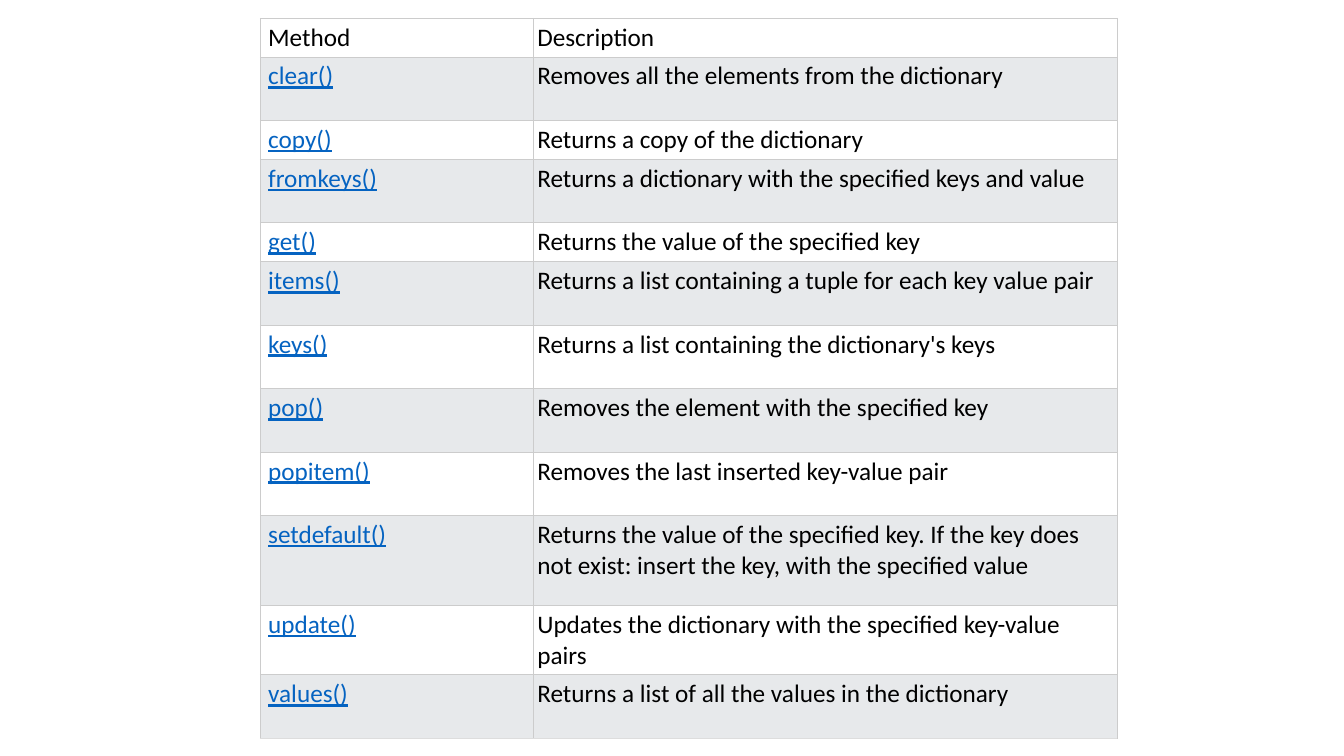
import pptx
import pptx.dml.color
import pptx.oxml
import pptx.oxml.ns
import pptx.util
from pptx.util import Inches

# Content: method, description, row height
HEAD = ("Method", "Description", 0.37)
METHODS = [
    ("clear()", "Removes all the elements from the dictionary", 0.63),
    ("copy()", "Returns a copy of the dictionary", 0.37),
    ("fromkeys()", "Returns a dictionary with the specified keys and value", 0.63),
    ("get()", "Returns the value of the specified key", 0.37),
    ("items()", "Returns a list containing a tuple for each key value pair", 0.63),
    ("keys()", "Returns a list containing the dictionary's keys", 0.63),
    ("pop()", "Removes the element with the specified key", 0.63),
    ("popitem()", "Removes the last inserted key-value pair", 0.63),
    ("setdefault()", "Returns the value of the specified key. If the key does not exist: "
     "insert the key, with the specified value", 0.89),
    ("update()", "Updates the dictionary with the specified key-value pairs", 0.63),
    ("values()", "Returns a list of all the values in the dictionary", 0.63),
]
ROWS = [HEAD] + METHODS
WIDTHS = (2.71, 5.79)
LEFT, TOP = 2.58, 0.18
PAD = 0.04
COLORS = {"text": "000000", "link": "0563C1", "plain": "FFFFFF", "band": "E7E9EB",
          "rule": "CCCCCC", "last": "DDDDDD"}


def color(key):
    return pptx.dml.color.RGBColor.from_string(COLORS[key])


def add_rules(cell, base):
    """Draw the four cell borders; base names the colour of the lower one."""
    props = cell._tc.get_or_add_tcPr()
    for side, key in (("L", "rule"), ("R", "rule"), ("T", "rule"), ("B", base)):
        props.append(pptx.oxml.parse_xml(
            f'<a:ln{side} {pptx.oxml.ns.nsdecls("a")} w="{pptx.util.Pt(0.6)}">'
            f'<a:solidFill><a:srgbClr val="{COLORS[key]}"/></a:solidFill></a:ln{side}>'))


def fill_cell(cell, text, row, col):
    add_rules(cell, "last" if row == len(ROWS) - 1 else "rule")
    cell.fill.solid()
    cell.fill.fore_color.rgb = color("band" if row % 2 else "plain")
    cell.margin_left = Inches(PAD if col else 2 * PAD)
    cell.margin_top = cell.margin_right = cell.margin_bottom = Inches(PAD)
    run = cell.text_frame.paragraphs[0].add_run()
    run.text = text
    link = row > 0 and col == 0
    font = run.font
    font.name, font.size, font.bold = "Calibri", pptx.util.Pt(18), False
    font.underline = link
    font.color.rgb = color("link" if link else "text")


def main():
    deck = pptx.Presentation()
    deck.slide_width, deck.slide_height = Inches(13.33), Inches(7.5)
    slide = deck.slides.add_slide(deck.slide_layouts[6])

    # Method table
    height = sum(row[2] for row in ROWS)
    table = slide.shapes.add_table(
        len(ROWS), len(WIDTHS), Inches(LEFT), Inches(TOP),
        Inches(sum(WIDTHS)), Inches(height)).table
    for col, width in enumerate(WIDTHS):
        table.columns[col].width = Inches(width)
    for row, (name, note, tall) in enumerate(ROWS):
        table.rows[row].height = Inches(tall)
        for col, text in enumerate((name, note)):
            fill_cell(table.cell(row, col), text, row, col)

    deck.save("out.pptx")


if __name__ == "__main__":
    main()
